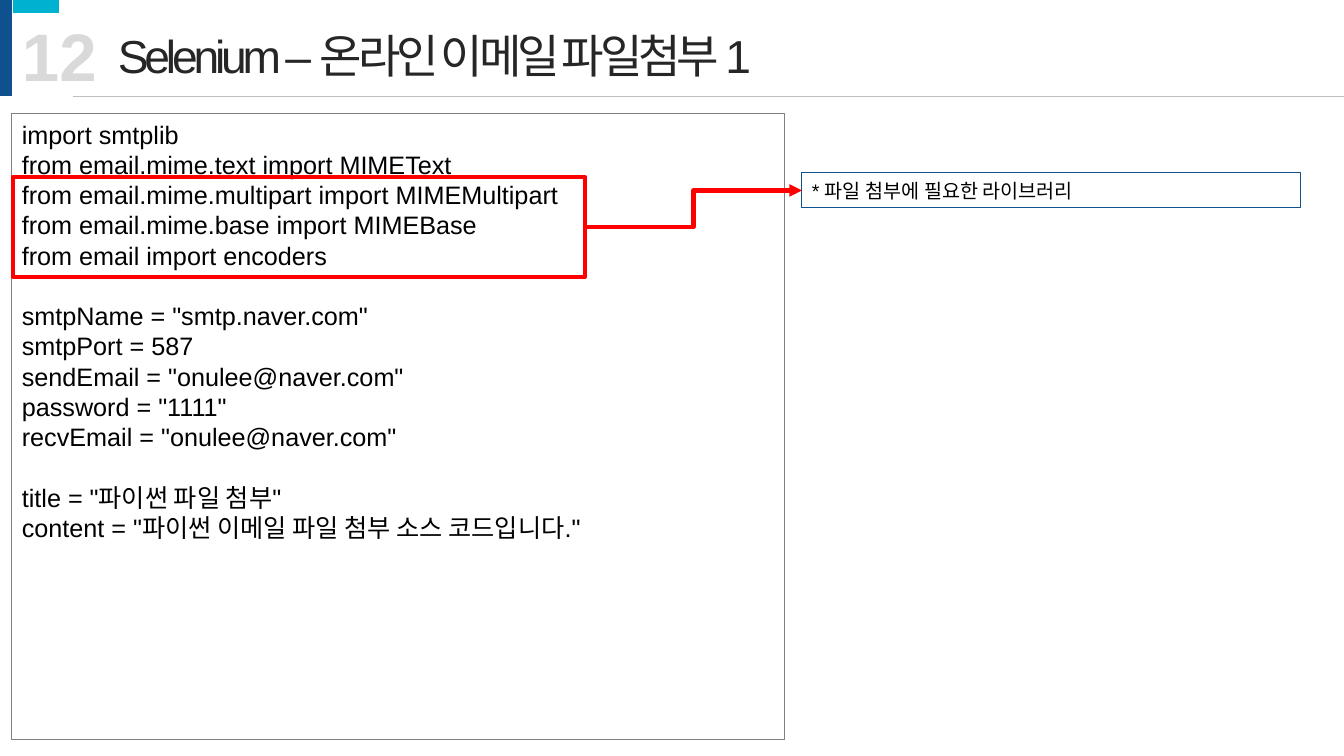
from lxml.etree import SubElement
from pptx import Presentation
from pptx.dml.color import RGBColor
from pptx.enum.shapes import MSO_CONNECTOR, MSO_SHAPE
from pptx.enum.text import MSO_ANCHOR, PP_ALIGN
from pptx.oxml.ns import qn
from pptx.util import Inches, Pt

SCALE = Inches(1) / 100.8
FONT = "Arial"
CODE_BLOCKS = [
    [
        "import smtplib",
        "from email.mime.text import MIMEText",
        "from email.mime.multipart import MIMEMultipart",
        "from email.mime.base import MIMEBase",
        "from email import encoders",
    ],
    [
        'smtpName = "smtp.naver.com"',
        "smtpPort = 587",
        'sendEmail = "onulee@naver.com"',
        'password = "1111"',
        'recvEmail = "onulee@naver.com"',
    ],
    [
        'title = "파이썬 파일 첨부"',
        'content = "파이썬 이메일 파일 첨부 소스 코드입니다."',
    ],
]


def px(length):
    return round(length * SCALE)


def color(value):
    return RGBColor.from_string(value)


def add_box(slide, box, fill=None, line=None, width=0.75):
    shape = slide.shapes.add_shape(MSO_SHAPE.RECTANGLE, *map(px, box))
    shape.shadow.inherit = False
    if fill:
        shape.fill.solid()
        shape.fill.fore_color.rgb = color(fill)
    else:
        shape.fill.background()
    if line:
        shape.line.color.rgb = color(line)
        shape.line.width = Pt(width)
    else:
        shape.line.fill.background()
    return shape


def add_line(slide, kind, start, end, line, width):
    connector = slide.shapes.add_connector(kind, *map(px, start + end))
    connector.line.color.rgb = color(line)
    connector.line.width = Pt(width)
    SubElement(connector._element.spPr, qn("a:effectLst"))
    return connector


def write(paragraph, text, size, text_color, bold=False):
    paragraph.alignment = PP_ALIGN.LEFT
    run = paragraph.add_run()
    run.text = text
    run.font.name = FONT
    run.font.size = Pt(size)
    run.font.bold = bold
    run.font.color.rgb = color(text_color)
    return run


def add_label(slide, box, text, size, text_color, bold=False, wrap=True):
    label = slide.shapes.add_textbox(*map(px, box))
    label.text_frame.word_wrap = wrap
    return write(label.text_frame.paragraphs[0], text, size, text_color, bold)


def add_header(slide, box, number, title):
    left, top, width, height = box
    add_box(slide, (left, top, 12, height), fill="0F518E")
    add_box(slide, (left + 13, top, 46, 13), fill="01B1D0")
    add_line(slide, MSO_CONNECTOR.STRAIGHT, (left + 73, top + height),
             (left + width, top + height), "BFBFBF", 0.5)
    run = add_label(slide, (left + 108, top + 22, 896, 68), title, 33, "262626")
    run.font._element.set("spc", "-300")
    add_label(slide, (left + 12, top + 9, 96, 92), number, 48, "D9D9D9", True, False)


def add_code(slide, box, blocks):
    left, top, width, height = box
    frame = add_box(slide, box, line="808080").text_frame
    frame.word_wrap = True
    frame.vertical_anchor = MSO_ANCHOR.TOP
    paragraph = frame.paragraphs[0]
    for block_index, block in enumerate(blocks):
        for line_index, text in enumerate(block):
            if block_index or line_index:
                paragraph = frame.add_paragraph()
            if block_index and not line_index:
                paragraph.space_before = Pt(21.6)
            write(paragraph, text, 18, "000000")
    return add_box(slide, (left + 1, top + 63, 572, 100), line="FF0000", width=3)


def add_note(slide, box, text, highlight):
    note = add_box(slide, box, line="0F518E")
    note.text_frame.word_wrap = True
    write(note.text_frame.paragraphs[0], text, 14, "000000")
    left, top, width, height = box
    arrow = add_line(slide, MSO_CONNECTOR.ELBOW, (585, 227),
                     (left, top + height // 2), "FF0000", 3)
    arrow.begin_connect(highlight, 3)
    arrow.end_connect(note, 1)
    SubElement(arrow.line._get_or_add_ln(), qn("a:tailEnd"), type="triangle")


def main():
    presentation = Presentation()
    presentation.slide_width = px(1344)
    presentation.slide_height = px(756)
    slide = presentation.slides.add_slide(presentation.slide_layouts[6])
    add_header(slide, (0, 0, 1344, 96), "12", "Selenium – 온라인 이메일 파일첨부 1")
    highlight = add_code(slide, (12, 114, 773, 626), CODE_BLOCKS)
    add_note(slide, (802, 173, 499, 35), "* 파일 첨부에 필요한 라이브러리", highlight)
    presentation.save("out.pptx")


if __name__ == "__main__":
    main()
